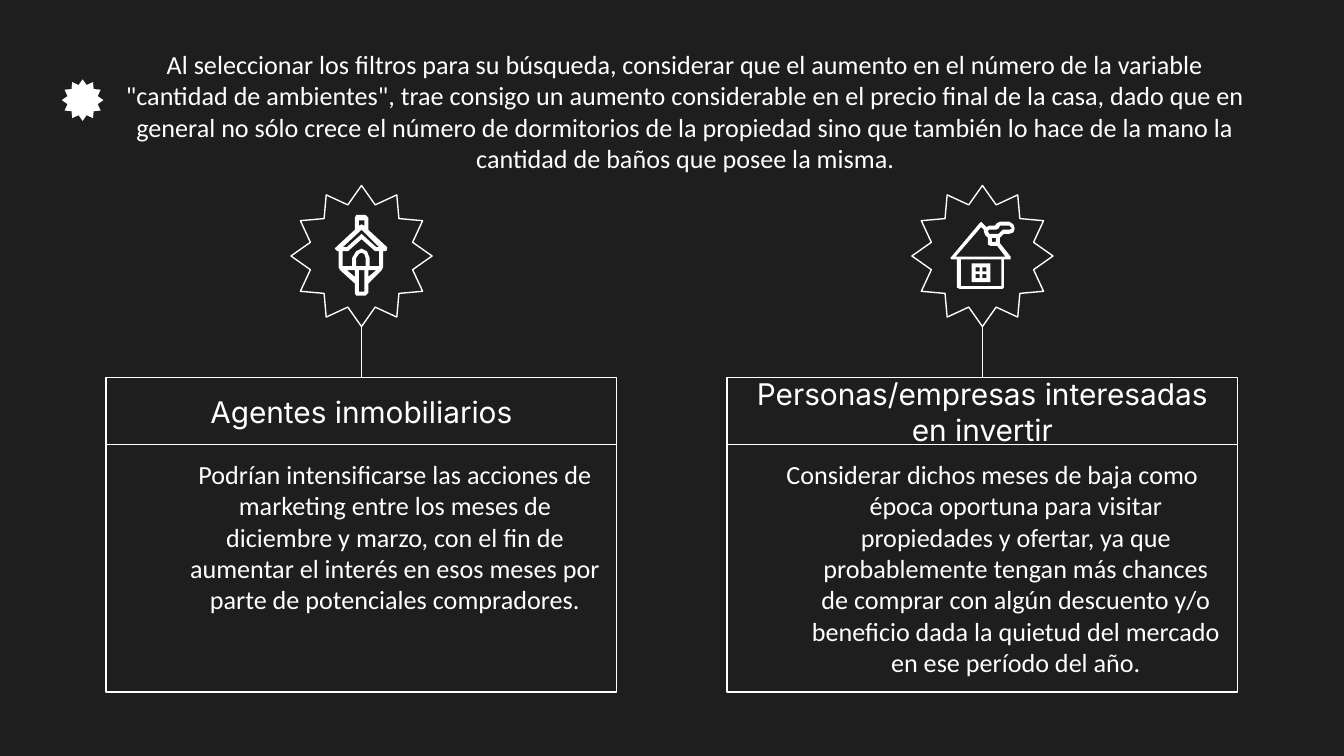
from pptx import Presentation, util as u
from pptx.dml.color import RGBColor
from pptx.enum import shapes, text
from pptx.oxml import ns
from lxml import etree
from dataclasses import dataclass


@dataclass(frozen=True)
class Theme:
    back: str = "1E1E1E"
    ink: str = "FFFFFF"
    head_font: str = "Inter"
    body_font: str = "Calibri"
    head_size: int = 16
    body_size: int = 14
    line: float = 0.75


T = Theme()

INTRO = (
    "Al seleccionar los filtros para su búsqueda, considerar que el aumento en el número "
    "de la variable \"cantidad de ambientes\", trae consigo un aumento considerable en el "
    "precio final de la casa, dado que en general no sólo crece el número de dormitorios de "
    "la propiedad sino que también lo hace de la mano la cantidad de baños que posee la misma."
)


def box(left, top, right, bottom):
    return [(left, top), (right, top), (right, bottom), (left, bottom)]


# Icons: shapes made of contours (outer edge, then holes), in hundredths of an inch
# from the column's centre line and the icon's top.
BIRDHOUSE = [[
    [(-4, 0), (3, 0), (5, 2), (5, 11), (19, 24), (19, 26), (18, 27), (16, 27), (16, 39),
     (15, 41), (5, 51), (5, 58), (3, 60), (-4, 60), (-5, 58), (-5, 51), (-16, 41),
     (-17, 39), (-17, 27), (-18, 27), (-20, 25), (-19, 24), (-5, 11), (-5, 2)],
    [(2, 4), (2, 8), (0, 7), (-2, 8), (-2, 4)],
    [(0, 11), (13, 24), (11, 24), (1, 15), (0, 14), (-1, 15), (-11, 24), (-14, 24)],
    [(0, 28), (2, 29), (3, 32), (3, 38), (-4, 38), (-4, 32), (-2, 29)],
    [(0, 18), (9, 26), (10, 27), (13, 27), (13, 38), (6, 38), (6, 32), (4, 27), (0, 25),
     (-4, 27), (-7, 32), (-7, 38), (-14, 38), (-14, 27), (-10, 27), (-9, 26)],
    [(-5, 41), (-5, 46), (-11, 41)],
    [(11, 41), (5, 46), (5, 41)],
    box(-2, 41, 2, 57),
]]
WINDOW = [box(-8, 36, 6, 50)] + [
    box(x, y, x + 3, y + 3) for x in (-5, 0) for y in (39, 44)]
COTTAGE = [WINDOW, [
    [(-1, 5), (0, 6), (3, 9), (5, 8), (9, 8), (11, 6), (13, 5), (20, 5), (23, 7), (24, 10),
     (23, 13), (20, 14), (16, 14), (13, 17), (13, 21), (21, 31), (21, 33), (16, 33),
     (16, 54), (15, 55), (-17, 55), (-19, 54), (-19, 33), (-23, 33), (-24, 32),
     (-23, 31), (-2, 6)],
    [(20, 8), (22, 10), (20, 11), (15, 11), (14, 12), (12, 14), (5, 14), (4, 12),
     (5, 11), (10, 11), (12, 10), (13, 8)],
    box(7, 17, 10, 20),
    [(-1, 9), (1, 11), (1, 12), (2, 15), (4, 17), (4, 22), (6, 23), (11, 23), (17, 31),
     (-20, 31)],
    box(-16, 33, 14, 53),
]]

# heading, body, first-line indent, icon
CARDS = [
    ("Agentes inmobiliarios",
     "Podrían intensificarse las acciones de marketing entre los meses de diciembre y marzo, "
     "con el fin de aumentar el interés en esos meses por parte de potenciales compradores.",
     0, BIRDHOUSE),
    ("Personas/empresas interesadas en invertir",
     "Considerar dichos meses de baja como época oportuna para visitar propiedades y ofertar, "
     "ya que probablemente tengan más chances de comprar con algún descuento y/o beneficio "
     "dada la quietud del mercado en ese período del año.",
     -0.35, COTTAGE),
]

W = 10
H = W * 9 / 16
MARGIN, CARD_W = 0.79, 3.8
PITCH = W - 2 * MARGIN - CARD_W
STAR_TOP, STAR, ICON_TOP = 1.38, 1.05, 1.6
HEAD_TOP, HEAD_H, BODY_H = 2.81, 0.5, 1.84

prs = Presentation()
prs.slide_width, prs.slide_height = u.Inches(W), u.Inches(H)
s = prs.slides.add_slide(prs.slide_layouts[6])
s.background.fill.solid()
s.background.fill.fore_color.rgb = RGBColor.from_string(T.back)


def paint(sp, filled):
    """Fill the shape with ink, or leave it hollow with an ink outline."""
    sp.shadow.inherit = False
    on, off = (sp.fill, sp.line.fill) if filled else (sp.line.fill, sp.fill)
    on.solid()
    on.fore_color.rgb = RGBColor.from_string(T.ink)
    off.background()
    if not filled:
        sp.line.width = u.Pt(T.line)


def add_preset(kind, left, top, width, height, filled=False):
    sp = s.shapes.add_shape(kind, *map(u.Inches, (left, top, width, height)))
    paint(sp, filled)
    return sp


def add_star(left, top, size, filled=False):
    sp = add_preset(shapes.MSO_SHAPE.STAR_12_POINT, left, top, size, size, filled)
    sp.adjustments[0] = 0.375


def write(sp, words, font, size, anchor, inset=0.1):
    tf = sp.text_frame
    tf.word_wrap = True
    tf.vertical_anchor = anchor
    tf.margin_left = tf.margin_right = u.Inches(0.1)
    tf.margin_top = tf.margin_bottom = u.Inches(inset)
    tf.text = words
    p = tf.paragraphs[0]
    p.alignment = text.PP_ALIGN.CENTER
    f = p.runs[0].font
    f.name, f.size = font, u.Pt(size)
    f.color.rgb = RGBColor.from_string(T.ink)
    return p


def add_icon(icon, center):
    for outer, *holes in icon:
        fb = s.shapes.build_freeform(*outer[0], scale=u.Inches(0.01))
        fb.add_line_segments(outer[1:], close=True)
        for hole in holes:
            fb.move_to(*hole[0])
            fb.add_line_segments(hole[1:], close=True)
        paint(fb.convert_to_shape(u.Inches(center), u.Inches(ICON_TOP)), True)


def add_stem(x, top, bottom):
    c = s.shapes.add_connector(
        shapes.MSO_CONNECTOR.STRAIGHT, *map(u.Inches, (x, top, x, bottom)))
    c.line.width = u.Pt(T.line)
    c.line.color.rgb = RGBColor.from_string(T.ink)
    etree.SubElement(c._element.spPr, ns.qn("a:effectLst"))


add_star(0.46, 0.59, 0.31, filled=True)

for i, (heading, body, indent, icon) in enumerate(CARDS):
    left = MARGIN + i * PITCH
    center = left + CARD_W / 2
    rect = shapes.MSO_SHAPE.RECTANGLE
    sp = add_preset(rect, left, HEAD_TOP, CARD_W, HEAD_H)
    write(sp, heading, T.head_font, T.head_size, text.MSO_ANCHOR.MIDDLE)
    sp = add_preset(rect, left, HEAD_TOP + HEAD_H, CARD_W, BODY_H)
    p = write(sp, body, T.body_font, T.body_size, text.MSO_ANCHOR.TOP)
    pPr = p._p.get_or_add_pPr()
    pPr.set("marL", str(u.Inches(0.5)))
    pPr.set("indent", str(u.Inches(indent)))
    add_star(center - STAR / 2, STAR_TOP, STAR)
    add_stem(center, STAR_TOP + STAR, HEAD_TOP)
    add_icon(icon, center)

tb = s.shapes.add_textbox(*map(u.Inches, (MARGIN, 0.31, 8.62, 1.04)))
write(tb, INTRO, T.body_font, T.body_size, text.MSO_ANCHOR.TOP, inset=0.05)
tb.text_frame.auto_size = text.MSO_AUTO_SIZE.SHAPE_TO_FIT_TEXT

prs.save("out.pptx")
